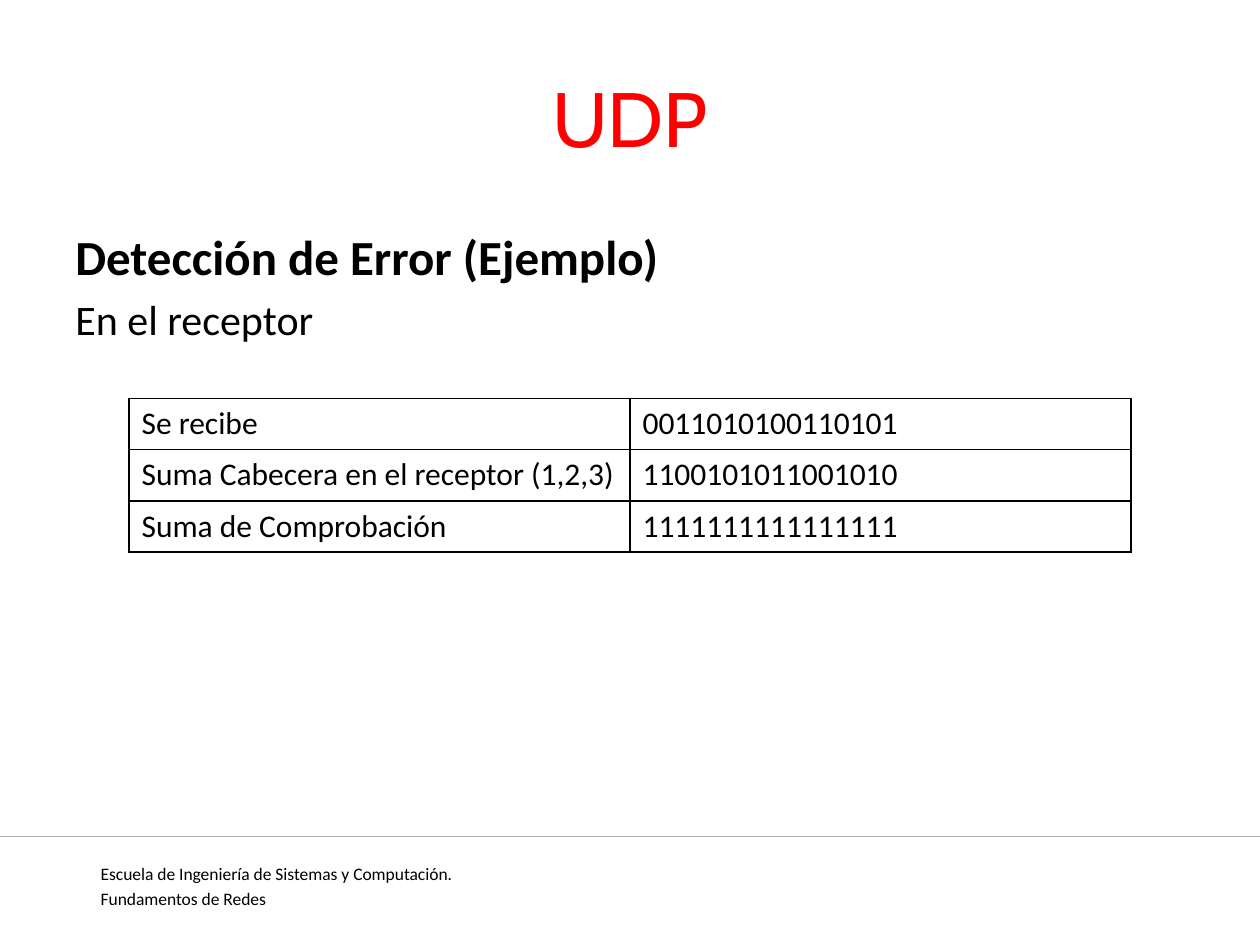
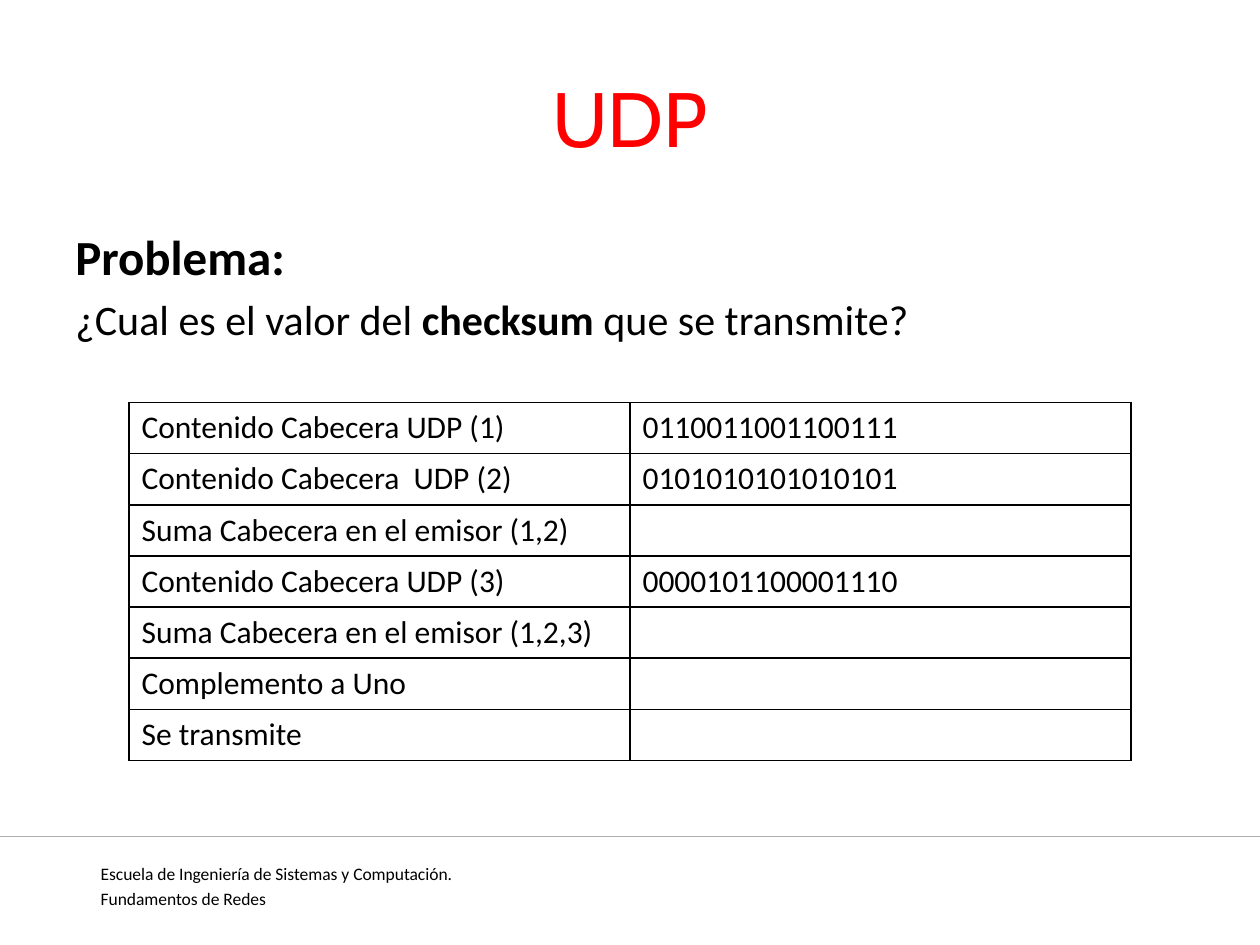
import dataclasses

import lxml.etree
import pptx
import pptx.dml.color
import pptx.enum.shapes
import pptx.enum.text
import pptx.oxml.ns
import pptx.util

Pt = pptx.util.Pt
ALIGN = pptx.enum.text.PP_ALIGN
ANCHOR = pptx.enum.text.MSO_ANCHOR

TITLE = "UDP"
FOOTER = ["Escuela de Ingeniería de Sistemas y Computación.", "Fundamentos de Redes"]
SLIDES = [
    {
        "heading": "Detección de Error (Ejemplo)",
        "statement": [("En el receptor", False)],
        "table_top": 227.7,
        "rows": [
            ("Se recibe", "0011010100110101"),
            ("Suma Cabecera en el receptor (1,2,3)", "1100101011001010"),
            ("Suma de Comprobación", "1111111111111111"),
        ],
    },
    {
        "heading": "Problema:",
        "statement": [
            ("¿Cual es el valor del ", False),
            ("checksum", True),
            (" que se transmite?", False),
        ],
        "table_top": 230,
        "rows": [
            ("Contenido Cabecera UDP (1)", "0110011001100111"),
            ("Contenido Cabecera  UDP (2)", "0101010101010101"),
            ("Suma Cabecera en el emisor (1,2)", ""),
            ("Contenido Cabecera UDP (3)", "0000101100001110"),
            ("Suma Cabecera en el emisor (1,2,3)", ""),
            ("Complemento a Uno", ""),
            ("Se transmite", ""),
        ],
    },
]


@dataclasses.dataclass(frozen=True)
class Theme:
    title_font: str = "Cabin"
    body_font: str = "Calibri"
    title_color: str = "FF0000"
    text_color: str = "000000"
    rule_color: str = "AEAEAE"
    title_size: int = 44
    heading_size: int = 28
    statement_size: int = 24
    cell_size: int = 18
    footer_size: int = 10
    rule_width: float = 0.75
    border_width: float = 1
    space_before: float = 0.2


THEME = Theme()
WIDTH, HEIGHT = 720, 540
TITLE_BOX = (36, 21.6, 648, 90)
BODY_BOX = (36, 126, 648, 356.4)
FOOTER_BOX = (50.4, 489.6, 646.56, 28)
RULE_TOP = 478.1
TABLE_WIDTH, ROW_HEIGHT = 572.6, 29.25


def color(value):
    return pptx.dml.color.RGBColor.from_string(value)


def add_run(paragraph, text, size, bold=False, font=THEME.body_font, ink=THEME.text_color):
    run = paragraph.add_run()
    run.text = text
    run.font.size = Pt(size)
    run.font.bold = bold
    run.font.name = font
    run.font.color.rgb = color(ink)


def add_text_frame(slide, box, anchor=ANCHOR.TOP):
    text_frame = slide.shapes.add_textbox(*map(Pt, box)).text_frame
    text_frame.word_wrap = True
    text_frame.vertical_anchor = anchor
    return text_frame


def add_lines(slide, box, lines):
    text_frame = add_text_frame(slide, box)
    for index, (size, runs) in enumerate(lines):
        paragraph = text_frame.add_paragraph() if index else text_frame.paragraphs[0]
        paragraph.alignment = ALIGN.JUSTIFY
        paragraph.space_before = Pt(size * THEME.space_before if index else 0)
        for text, bold in runs:
            add_run(paragraph, text, size, bold)


def add_frame(slide):
    add_lines(slide, FOOTER_BOX, [(THEME.footer_size, [(text, False)]) for text in FOOTER])
    paragraph = add_text_frame(slide, TITLE_BOX, ANCHOR.MIDDLE).paragraphs[0]
    paragraph.alignment = ALIGN.CENTER
    add_run(paragraph, TITLE, THEME.title_size, font=THEME.title_font, ink=THEME.title_color)


def add_rule(slide):
    rule = slide.shapes.add_connector(
        pptx.enum.shapes.MSO_CONNECTOR.STRAIGHT, Pt(0), Pt(RULE_TOP), Pt(WIDTH), Pt(RULE_TOP)
    )
    rule.line.color.rgb = color(THEME.rule_color)
    rule.line.width = Pt(THEME.rule_width)
    lxml.etree.SubElement(rule._element.spPr, pptx.oxml.ns.qn("a:effectLst"))


def add_borders(cell):
    properties = cell._tc.get_or_add_tcPr()
    for index, side in enumerate(("lnL", "lnR", "lnT", "lnB")):
        line = lxml.etree.Element(
            pptx.oxml.ns.qn(f"a:{side}"), w=str(Pt(THEME.border_width))
        )
        fill = lxml.etree.SubElement(line, pptx.oxml.ns.qn("a:solidFill"))
        lxml.etree.SubElement(fill, pptx.oxml.ns.qn("a:srgbClr"), val=THEME.text_color)
        properties.insert(index, line)


def add_table(slide, top, rows):
    columns = len(rows[0])
    table = slide.shapes.add_table(
        len(rows), columns, Pt((WIDTH - TABLE_WIDTH) / 2), Pt(top),
        Pt(TABLE_WIDTH), Pt(ROW_HEIGHT * len(rows)),
    ).table
    table.first_row = table.horz_banding = False
    for column in table.columns:
        column.width = Pt(TABLE_WIDTH / columns)
    for row, texts in zip(table.rows, rows):
        row.height = Pt(ROW_HEIGHT)
        for cell, text in zip(row.cells, texts):
            cell.fill.background()
            add_borders(cell)
            paragraph = cell.text_frame.paragraphs[0]
            paragraph.font.size = Pt(THEME.cell_size)
            if text:
                add_run(paragraph, text, THEME.cell_size)


def main():
    presentation = pptx.Presentation()
    presentation.slide_width, presentation.slide_height = Pt(WIDTH), Pt(HEIGHT)
    for content in SLIDES:
        slide = presentation.slides.add_slide(presentation.slide_layouts[6])
        add_frame(slide)
        add_lines(slide, BODY_BOX, [
            (THEME.heading_size, [(content["heading"], True)]),
            (THEME.statement_size, content["statement"]),
        ])
        add_rule(slide)
        add_table(slide, content["table_top"], content["rows"])
    presentation.save("out.pptx")


if __name__ == "__main__":
    main()
